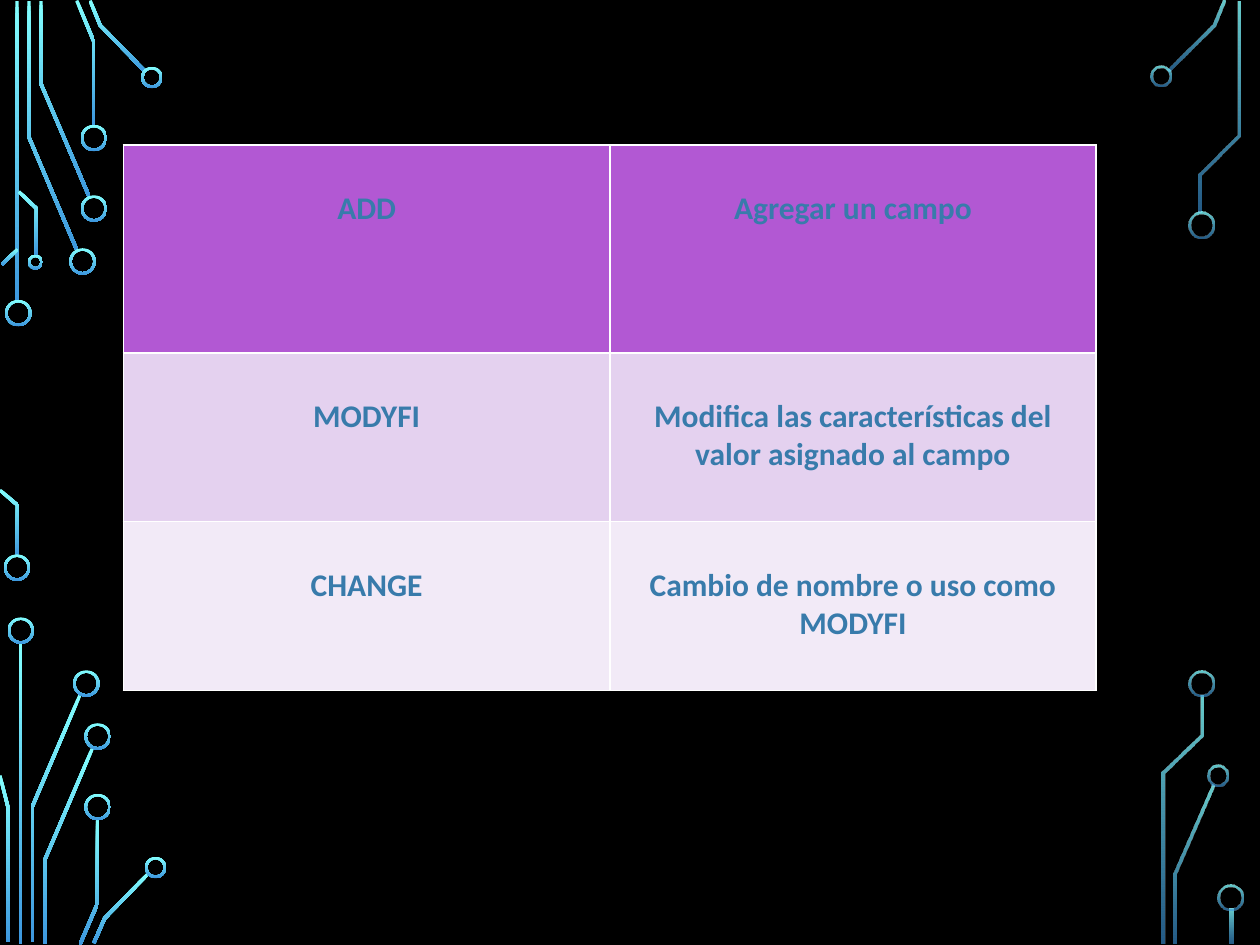
from dataclasses import dataclass
from math import hypot

from lxml.etree import SubElement as Sub
from pptx import Presentation as Deck
from pptx.dml.color import RGBColor as Rgb
from pptx.enum.shapes import MSO_SHAPE as Kind
from pptx.enum.text import PP_ALIGN as Align
from pptx.oxml import parse_xml
from pptx.oxml.ns import nsdecls, qn
from pptx.util import Inches, Pt

COLS, ROWS = 1000, 750
WIDE, HIGH = Inches(10), Inches(7.5)


@dataclass(frozen=True)
class Theme:
    back: str = "000000"
    glow: tuple = ("82FFFF", "3D97DE")
    clear: tuple = (100, 100)
    faded: tuple = (80, 60)
    bands: tuple = ("B258D3", "E4D1EF", "F2EAF7")
    ink: str = "387BAB"
    edge: str = "FFFFFF"
    font: str = "Calibri"
    size: int = 18
    rule: int = 1
    track: float = 2.6
    rim: int = 2


LOOK = Theme()

LEFT_TRACKS = [
    [(13.5, 1), (13.5, 240)],
    [(23, 1), (23, 109), (61, 198.5)],
    [(32.5, 1), (32.5, 66.5), (71, 156.5)],
    [(61, 0.5), (74.5, 33), (74.5, 100)],
    [(71.5, 0.5), (79.5, 20), (115.5, 57)],
    [(1.5, 210), (14, 198)],
    [(0, 389), (14, 401), (14, 441)],
    [(15, 152), (29, 165.5), (29, 203)],
    [(16.5, 510), (16.5, 749)],
    [(63.5, 551.5), (25.5, 640.5), (25.5, 748)],
    [(0, 615.5), (6.5, 641), (6.5, 748)],
    [(73.5, 593.5), (35.5, 682.5), (35.5, 749)],
    [(77.5, 650), (77.5, 717), (63.5, 749.5)],
    [(118, 693), (83, 729), (74.5, 748.5)],
]
LEFT_RINGS = [
    (4, 238, 21), (3, 440, 21), (55, 197, 21), (64, 155, 21),
    (64, 99, 21), (112, 53, 17), (22, 202, 12), (6, 490, 21),
    (58, 532, 21), (67, 574, 21), (67, 630, 21), (115, 680, 17),
]
RIGHT_TRACKS = [
    [(971, 0.5), (963, 20), (927.5, 55.5)],
    [(963, 623.5), (933, 693.5), (933, 749)],
    [(983.5, 1), (983.5, 107.5), (952.5, 138.5), (952.5, 169)],
    [(953.5, 552), (953.5, 583.5), (923.5, 613.5), (923.5, 749)],
    [(977.5, 721), (977.5, 749)],
]
RIGHT_RINGS = [
    (913, 52, 17), (943, 168, 21), (958, 607, 17),
    (943, 532, 21), (966, 702, 21),
]
WORDS = [
    ("ADD", "Agregar un campo"),
    ("MODYFI", "Modifica las características del valor asignado al campo"),
    ("CHANGE", "Cambio de nombre o uso como MODYFI"),
]
TALL = (165, 134, 134)


def col(n):
    return round(WIDE * n / COLS)


def row(n):
    return round(HIGH * n / ROWS)


def shine(shape, alphas):
    shape.shadow.inherit = False
    shape.line.fill.background()
    fill = shape.fill
    fill.gradient()
    fill.gradient_angle = 270
    for stop, tint in zip(fill.gradient_stops, LOOK.glow):
        stop.color.rgb = Rgb.from_string(tint)
    for tag, alpha in zip(shape._element.iter(qn("a:srgbClr")), alphas):
        if alpha < 100:
            Sub(tag, qn("a:alpha"), val=str(alpha * 1000))


def normal(start, end):
    dx, dy = end[0] - start[0], end[1] - start[1]
    span = hypot(dx, dy)
    return -dy / span, dx / span


def ribbon(line):
    sides = [normal(a, b) for a, b in zip(line, line[1:])]
    near, far = [], []
    for (x, y), a, b in zip(line, sides[:1] + sides, sides + sides[-1:]):
        share = LOOK.track / 2 / (1 + a[0] * b[0] + a[1] * b[1])
        dx, dy = (a[0] + b[0]) * share, (a[1] + b[1]) * share
        near.append((col(x + dx), row(y + dy)))
        far.append((col(x - dx), row(y - dy)))
    return near + far[::-1]


def add_track(slide, line, alphas):
    first, *rest = ribbon(line)
    pen = slide.shapes.build_freeform(*first)
    pen.add_line_segments(rest, close=True)
    shine(pen.convert_to_shape(), alphas)


def add_ring(slide, x, y, size, alphas):
    ring = slide.shapes.add_shape(Kind.DONUT, col(x), row(y), col(size), row(size))
    ring.adjustments[0] = LOOK.rim / size
    shine(ring, alphas)


def add_side(slide, tracks, rings, alphas):
    for line in tracks:
        add_track(slide, line, alphas)
    for ring in rings:
        add_ring(slide, *ring, alphas)


def frame(cell):
    props = cell._tc.get_or_add_tcPr()
    for i, side in enumerate("LRTB"):
        props.insert(i, parse_xml(
            f'<a:ln{side} {nsdecls("a")} w="{Pt(LOOK.rule)}"><a:solidFill>'
            f'<a:srgbClr val="{LOOK.edge}"/></a:solidFill></a:ln{side}>'))


def set_cell(cell, text, tint):
    cell.fill.solid()
    cell.fill.fore_color.rgb = Rgb.from_string(tint)
    frame(cell)
    cell.margin_top = row(35.5)
    cell.text_frame.text = text
    para = cell.text_frame.paragraphs[0]
    para.alignment = Align.CENTER
    font = para.runs[0].font
    font.name, font.size, font.bold = LOOK.font, Pt(LOOK.size), True
    font.color.rgb = Rgb.from_string(LOOK.ink)


def add_grid(slide):
    grid = slide.shapes.add_table(
        len(WORDS), 2, col(98), row(115), col(772), row(sum(TALL))).table
    for i, (pair, tall, tint) in enumerate(zip(WORDS, TALL, LOOK.bands)):
        grid.rows[i].height = row(tall)
        for j, text in enumerate(pair):
            set_cell(grid.cell(i, j), text, tint)


def main():
    deck = Deck()
    deck.slide_width, deck.slide_height = WIDE, HIGH
    slide = deck.slides.add_slide(deck.slide_layouts[6])
    slide.background.fill.solid()
    slide.background.fill.fore_color.rgb = Rgb.from_string(LOOK.back)
    add_side(slide, LEFT_TRACKS, LEFT_RINGS, LOOK.clear)
    add_side(slide, RIGHT_TRACKS, RIGHT_RINGS, LOOK.faded)
    add_grid(slide)
    deck.save("out.pptx")


if __name__ == "__main__":
    main()
